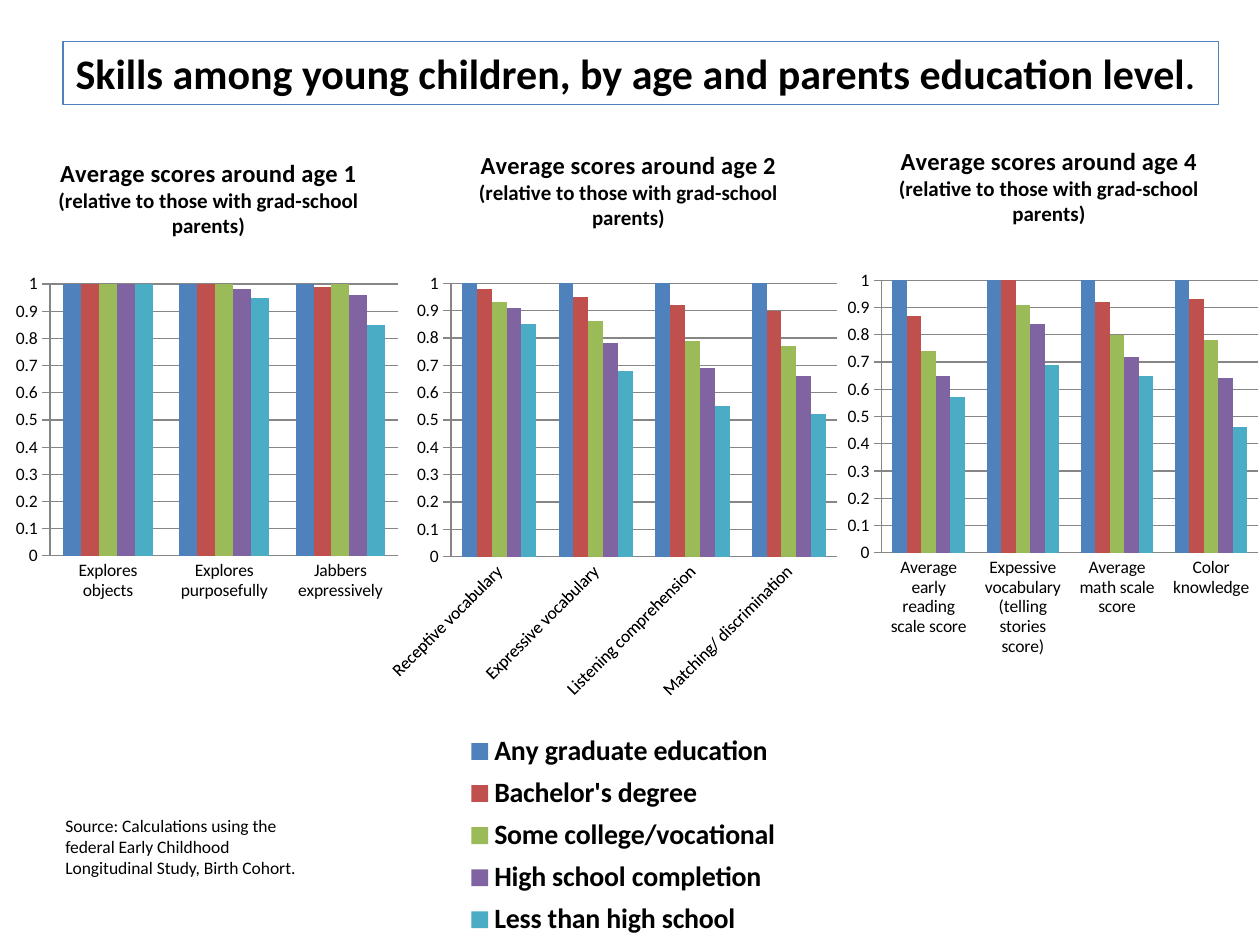
from lxml import etree
from pptx import Presentation
from pptx.chart import data as chart_data
from pptx.dml.color import RGBColor
from pptx.enum import chart as chart_enum, text
from pptx.oxml import ns
from pptx.util import Inches, Pt

BLACK = RGBColor(0x00, 0x00, 0x00)
GRAY = RGBColor(0x86, 0x86, 0x86)
BLUE = RGBColor(0x4F, 0x81, 0xBD)
RED = RGBColor(0xC0, 0x50, 0x4D)
GREEN = RGBColor(0x9B, 0xBB, 0x59)
PURPLE = RGBColor(0x80, 0x64, 0xA2)
TEAL = RGBColor(0x4B, 0xAC, 0xC6)

LEVELS = [
    ("Any graduate education", BLUE),
    ("Bachelor's degree", RED),
    ("Some college/vocational", GREEN),
    ("High school completion", PURPLE),
    ("Less than high school", TEAL),
]

# One entry per age; each row of scores belongs to one education level
CHARTS = [
    dict(age=1, at=(0, 1, 3.33, 5.25), plot=(0.119, 0.239, 0.831, 0.411),
         title_at=(0.13, 0.04), rotation=0, legend=False,
         skills=["Explores objects", "Explores purposefully", "Jabbers expressively"],
         scores=[(1, 1, 1), (1, 1, 0.99), (1, 1, 1.01),
                 (1, 0.98, 0.96), (1, 0.95, 0.85)]),
    dict(age=2, at=(3.08, 1.08, 3.58, 6.42), plot=(0.136, 0.182, 0.86, 0.338),
         title_at=(0.19, 0.01), rotation=-45, legend=True,
         skills=["Receptive vocabulary", "Expressive vocabulary",
                 "Listening comprehension", "Matching/ discrimination"],
         scores=[(1, 1, 1, 1), (0.98, 0.95, 0.92, 0.9), (0.93, 0.86, 0.79, 0.77),
                 (0.91, 0.78, 0.69, 0.66), (0.85, 0.68, 0.55, 0.52)]),
    dict(age=4, at=(6.67, 1.05, 3.33, 6.42), plot=(0.098, 0.183, 0.898, 0.337),
         title_at=(0.13, 0.01), rotation=0, legend=False,
         skills=["Average early reading scale score",
                 "Expessive vocabulary (telling stories score)",
                 "Average math scale score", "Color knowledge"],
         scores=[(1, 1, 1, 1), (0.87, 1, 0.92, 0.93), (0.74, 0.91, 0.8, 0.78),
                 (0.65, 0.84, 0.72, 0.64), (0.57, 0.69, 0.65, 0.46)]),
]


def add_text(para, words, size=10, bold=False):
    span = para.add_run()
    span.text = words
    span.font.name = "Calibri"
    span.font.size = Pt(size)
    span.font.bold = bold
    span.font.color.rgb = BLACK


def set_layout(element, index, values, inner=False):
    """Place a chart part by fractions of the chart: x, y and perhaps w, h."""
    for old in element.findall(ns.qn("c:layout")):
        element.remove(old)
    layout = etree.Element(ns.qn("c:layout"))
    manual = etree.SubElement(layout, ns.qn("c:manualLayout"))
    settings = [("layoutTarget", "inner")] if inner else []
    settings += [("xMode", "edge"), ("yMode", "edge")]
    settings += zip("xywh", values)
    for tag, value in settings:
        etree.SubElement(manual, ns.qn("c:" + tag)).set("val", str(value))
    element.insert(index, layout)


deck = Presentation()
deck.slide_width, deck.slide_height = Inches(10), Inches(7.5)
page = deck.slides.add_slide(deck.slide_layouts[5])

# Charts
for item in CHARTS:
    scores = chart_data.CategoryChartData()
    scores.categories = item["skills"]
    for (level, _), values in zip(LEVELS, item["scores"]):
        scores.add_series(level, values)
    chart = page.shapes.add_chart(
        chart_enum.XL_CHART_TYPE.COLUMN_CLUSTERED,
        *[Inches(length) for length in item["at"]], scores).chart
    chart.font.name = "Calibri"
    chart.font.size = Pt(10)
    chart.font.color.rgb = BLACK
    set_layout(chart._chartSpace.chart.plotArea, 0, item["plot"], inner=True)

    # Bars
    bars = chart.plots[0]
    bars.vary_by_categories = False
    bars.gap_width, bars.overlap = 150, 0
    for series, (_, color) in zip(bars.series, LEVELS):
        series.format.fill.solid()
        series.format.fill.fore_color.rgb = color

    # Axes
    skill_axis, score_axis = chart.category_axis, chart.value_axis
    skill_axis.major_tick_mark = chart_enum.XL_TICK_MARK.NONE
    skill_axis.tick_labels.font.size = Pt(10)
    skill_axis._element.txPr.bodyPr.set("rot", str(item["rotation"] * 60000))
    score_axis.minimum_scale, score_axis.maximum_scale = 0, 1
    score_axis.major_unit = 0.1
    score_axis.major_tick_mark = chart_enum.XL_TICK_MARK.CROSS
    for part in (skill_axis, score_axis, score_axis.major_gridlines):
        part.format.line.color.rgb = GRAY
        part.format.line.width = Pt(0.75)

    # Chart title
    frame = chart.chart_title.text_frame
    add_text(frame.paragraphs[0], f"Average scores around age {item['age']}", 14, True)
    add_text(frame.add_paragraph(), "(relative to those with grad-school parents)", 12, True)
    set_layout(chart.chart_title._element, 1, item["title_at"])

    # Legend shared by all charts
    chart.has_legend = item["legend"]
    if item["legend"]:
        legend = chart.legend
        legend.position = chart_enum.XL_LEGEND_POSITION.BOTTOM
        legend.include_in_layout = False
        legend.font.name = "Calibri"
        legend.font.size = Pt(16)
        legend.font.bold = True
        legend.font.color.rgb = BLACK
        set_layout(legend._element, 1, (0.14, 0.73, 0.76, 0.27))

# Source note
note = page.shapes.add_textbox(Inches(0.42), Inches(6.42), Inches(2.17), Inches(0.61))
note.text_frame.word_wrap = True
add_text(note.text_frame.paragraphs[0],
         "Source: Calculations using the federal Early Childhood "
         "Longitudinal Study, Birth Cohort.")

# Slide title
title = page.shapes.title
title.left, title.top = Inches(0.5), Inches(0.33)
title.width, title.height = Inches(9.17), Inches(0.5)
title.line.color.rgb = BLUE
title.line.width = Pt(0.75)
frame = title.text_frame
frame.word_wrap = False
frame.auto_size = text.MSO_AUTO_SIZE.NONE
frame.vertical_anchor = text.MSO_ANCHOR.MIDDLE
heading = frame.paragraphs[0]
heading.alignment = text.PP_ALIGN.LEFT
add_text(heading, "Skills among young children, by age and parents education level", 24, True)
add_text(heading, ".", 20, True)

deck.save("out.pptx")
